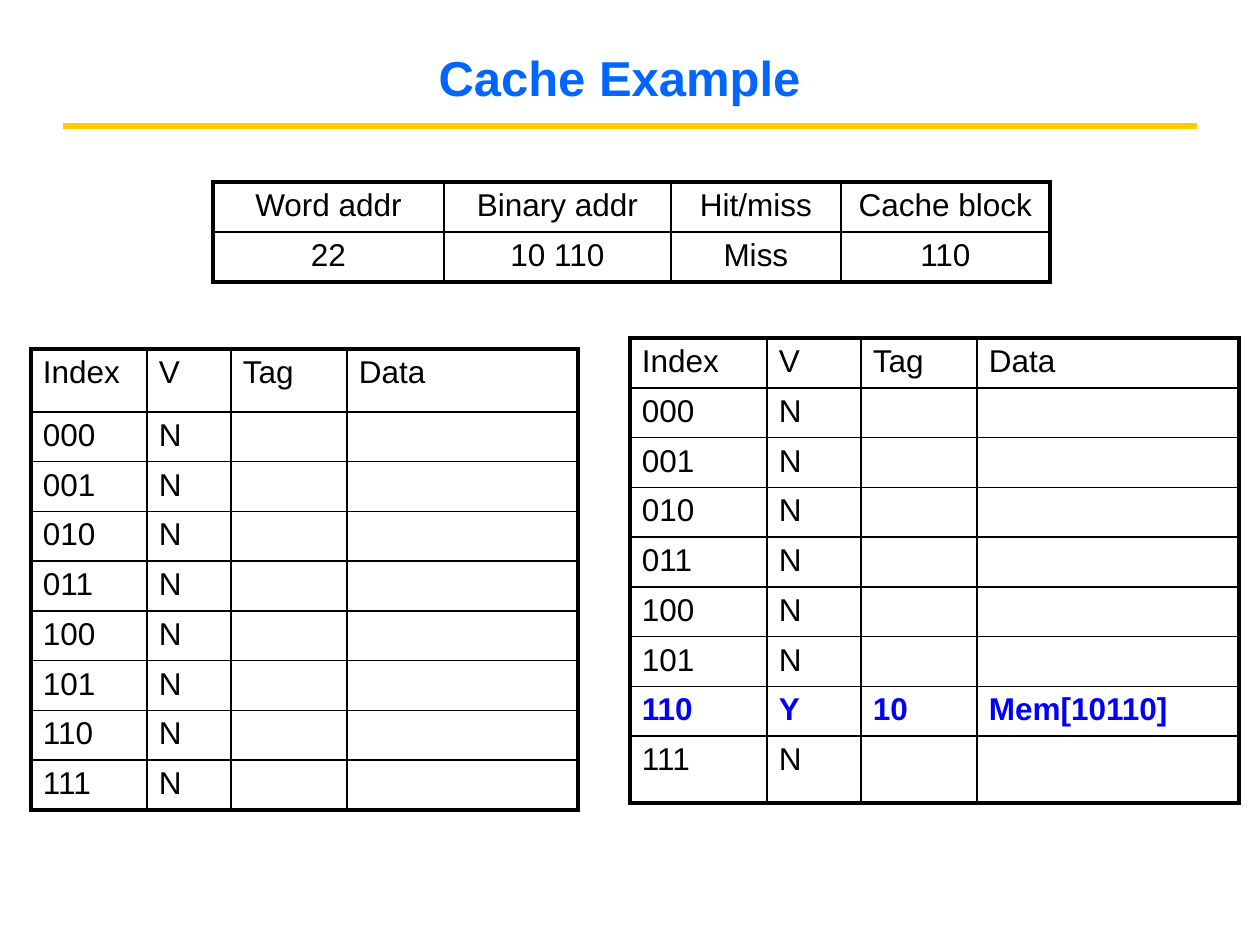
from lxml import etree
from pptx import Presentation
from pptx.dml.color import RGBColor
from pptx.enum.shapes import MSO_CONNECTOR
from pptx.enum.text import MSO_ANCHOR, PP_ALIGN
from pptx.oxml.ns import qn
from pptx.util import Pt

PX = 914400 // 126
LEFT, CENTER = PP_ALIGN.LEFT, PP_ALIGN.CENTER
BLACK, BLUE, TITLE_BLUE, GOLD = "000000", "0000FF", "0066FF", "FFCC00"
OUTER, HEADER, INNER = 2.25, 1.5, 1


def write_text(frame, text, size=18, color=BLACK, bold=False, align=LEFT):
    paragraph = frame.paragraphs[0]
    paragraph.alignment = align
    run = paragraph.add_run()
    run.text = text
    run.font.name = "Arial"
    run.font.size = Pt(size)
    run.font.bold = bold
    run.font.color.rgb = RGBColor.from_string(color)


def add_grid(slide, left, top, widths, heights, rows, align=LEFT, highlight=None):
    """Add a table with a thick frame and a heavier rule under its header;
    highlight is the index of a row set in bold blue."""
    shape = slide.shapes.add_table(
        len(heights), len(widths), left * PX, top * PX,
        sum(widths) * PX, sum(heights) * PX)
    table = shape.table
    table.first_row = table.horz_banding = False
    for column, width in zip(table.columns, widths):
        column.width = width * PX
    for row, height in zip(table.rows, heights):
        row.height = height * PX

    last_row, last_column = len(heights) - 1, len(widths) - 1
    for r, values in enumerate(rows):
        for c, value in enumerate(values):
            cell = table.cell(r, c)
            cell.margin_left = cell.margin_right = 12 * PX
            cell.margin_top = cell.margin_bottom = 6 * PX
            borders = {
                "a:lnL": OUTER if c == 0 else INNER,
                "a:lnR": OUTER if c == last_column else INNER,
                "a:lnT": OUTER if r == 0 else HEADER if r == 1 else INNER,
                "a:lnB": OUTER if r == last_row else HEADER if r == 0 else INNER,
            }
            properties = cell._tc.get_or_add_tcPr()
            for tag, weight in borders.items():
                line = etree.SubElement(properties, qn(tag), w=str(Pt(weight)))
                fill = etree.SubElement(line, qn("a:solidFill"))
                etree.SubElement(fill, qn("a:srgbClr"), val=BLACK)
            cell.fill.background()
            if value:
                marked = r == highlight
                write_text(cell.text_frame, value, align=align, bold=marked,
                           color=BLUE if marked else BLACK)


presentation = Presentation()
presentation.slide_width = 1260 * PX
presentation.slide_height = 945 * PX
slide = presentation.slides.add_slide(presentation.slide_layouts[6])

rule = slide.shapes.add_connector(
    MSO_CONNECTOR.STRAIGHT, 63 * PX, 126 * PX, 1197 * PX, 126 * PX)
rule.line.color.rgb = RGBColor.from_string(GOLD)
rule.line.width = Pt(3)
etree.SubElement(rule._element.spPr, qn("a:effectLst"))

title = slide.shapes.add_textbox(21 * PX, 38 * PX, 1197 * PX, 78 * PX)
title.text_frame.word_wrap = True
title.text_frame.vertical_anchor = MSO_ANCHOR.MIDDLE
write_text(title.text_frame, "Cache Example", size=28, color=TITLE_BLUE,
           bold=True, align=CENTER)

cache_header = ["Index", "V", "Tag", "Data"]
cache_before = [cache_header] + [[f"{i:03b}", "N", "", ""] for i in range(8)]
cache_after = list(cache_before)
cache_after[7] = ["110", "Y", "10", "Mem[10110]"]

add_grid(slide, 630, 338, [137, 94, 116, 262], [48] * 8 + [67],
         cache_after, highlight=7)
add_grid(slide, 213, 182, [231, 227, 170, 209], [50, 50],
         [["Word addr", "Binary addr", "Hit/miss", "Cache block"],
          ["22", "10 110", "Miss", "110"]], align=CENTER)
add_grid(slide, 31, 349, [116, 84, 116, 231], [63] + [49] * 8, cache_before)

presentation.save("out.pptx")
